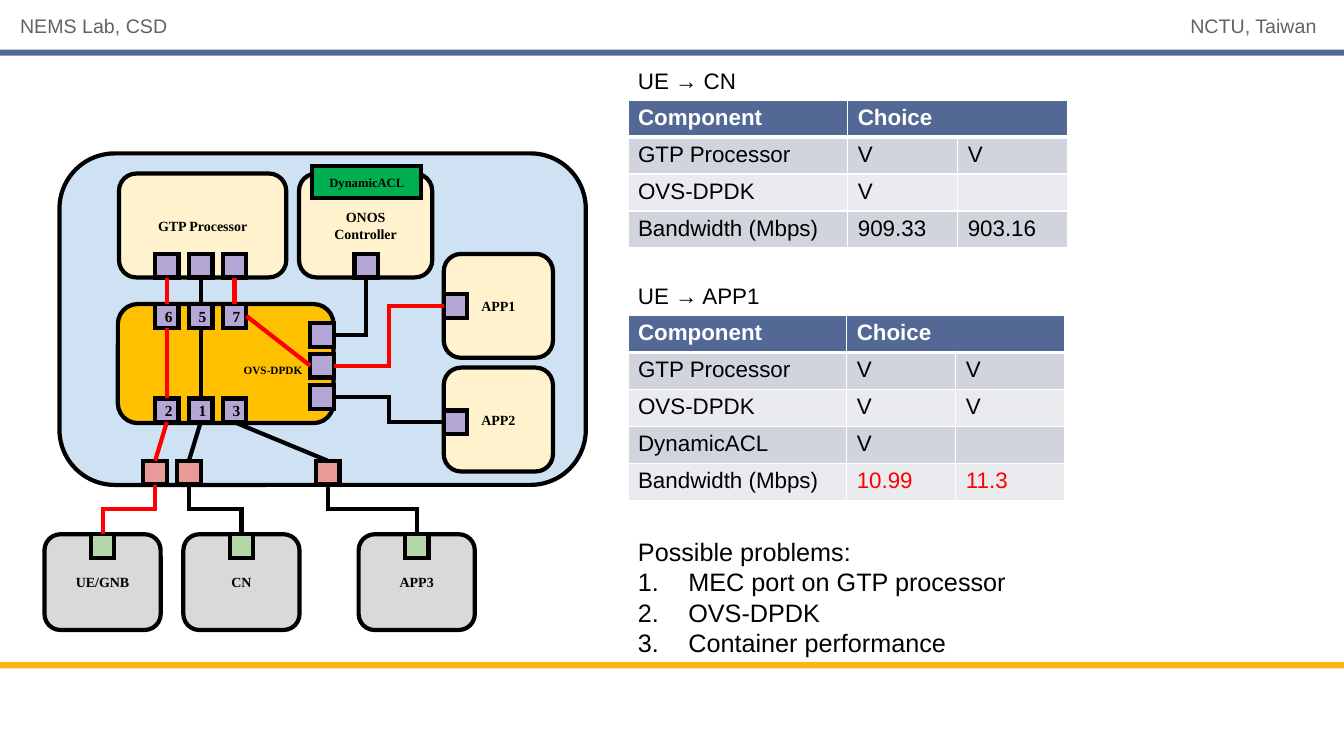
import lxml.etree
import pptx
import pptx.dml.color
import pptx.enum.shapes
import pptx.enum.text
import pptx.oxml.ns
import pptx.util

Pt = pptx.util.Pt
qn = pptx.oxml.ns.qn
ALIGN = pptx.enum.text.PP_ALIGN
RECT = pptx.enum.shapes.MSO_SHAPE.RECTANGLE
ROUNDED = pptx.enum.shapes.MSO_SHAPE.ROUNDED_RECTANGLE
CONNECTOR = pptx.enum.shapes.MSO_CONNECTOR

BLACK, WHITE, RED = "000000", "FFFFFF", "FF0000"
NAVY, GOLD, GRAY = "536895", "FFB612", "616365"
CREAM, PURPLE, PINK, GREEN, SILVER = "FFF2CC", "B4A7D6", "EA9999", "B6D7A8", "D9D9D9"
BANDS = ("E9EBEF", "D1D4DD")
PORT_W, PORT_H = 16.9, 17


def rgb(color):
    return pptx.dml.color.RGBColor.from_string(color)


def add_xml(parent, tag, **attributes):
    return lxml.etree.SubElement(parent, qn(tag), attributes)


class Board:
    body_font = "Arial"
    diagram_font = "Times New Roman"
    stroke = 3

    def __init__(self, slide):
        self.slide = slide

    def run(self, paragraph, text, size, color=BLACK, bold=False, font=None):
        run = paragraph.add_run()
        run.text = text
        run.font.size = Pt(size)
        run.font.bold = bold
        run.font.name = font or self.body_font
        run.font.color.rgb = rgb(color)

    def outline(self, item, color):
        item.line.color.rgb = rgb(color)
        item.line.width = Pt(self.stroke)
        add_xml(item.line._get_or_add_ln(), "a:miter", lim="800000")

    def bar(self, top, color):
        bar = self.slide.shapes.add_shape(RECT, 0, Pt(top), Pt(960), Pt(4.4))
        bar.shadow.inherit = False
        bar.fill.solid()
        bar.fill.fore_color.rgb = rgb(color)
        bar.line.fill.background()

    def box(self, left, top, width, height, fill, text="", size=10,
            kind=ROUNDED, align=ALIGN.CENTER):
        box = self.slide.shapes.add_shape(kind, Pt(left), Pt(top), Pt(width), Pt(height))
        box.shadow.inherit = False
        box.fill.solid()
        box.fill.fore_color.rgb = rgb(fill)
        self.outline(box, BLACK)
        if text:
            frame = box.text_frame
            frame.word_wrap = True
            frame.vertical_anchor = pptx.enum.text.MSO_ANCHOR.MIDDLE
            frame.paragraphs[0].alignment = align
            self.run(frame.paragraphs[0], text, size, bold=True, font=self.diagram_font)
        return box

    def port(self, left, top, fill=PURPLE, text=""):
        return self.box(left, top, PORT_W, PORT_H, fill, text, 11, RECT)

    def connector(self, kind, start, end, color):
        link = self.slide.shapes.add_connector(kind, *map(int, start + end))
        self.outline(link, color)
        add_xml(link._element.spPr, "a:effectLst")
        return link

    def straight(self, source, target, color=BLACK, sides=(2, 0)):
        link = self.connector(CONNECTOR.STRAIGHT, (0, 0), (0, 0), color)
        link.begin_connect(source, sides[0])
        link.end_connect(target, sides[1])

    def elbow_across(self, source, target, color=BLACK):
        start = (source.left + source.width, source.top + source.height / 2)
        end = (target.left, target.top + target.height / 2)
        self.connector(CONNECTOR.ELBOW, start, end, color)

    def elbow_corner(self, source, target, color=BLACK):
        start = (source.left + source.width, source.top + source.height / 2)
        end = (target.left + target.width / 2, target.top + target.height)
        link = self.connector(CONNECTOR.ELBOW, start, end, color)
        link._element.spPr.find(qn("a:prstGeom")).set("prst", "bentConnector2")

    def elbow_down(self, source, target, color=BLACK):
        x1, y1 = source.left + source.width / 2, source.top + source.height
        x2, y2 = target.left + target.width / 2, target.top
        middle_x, middle_y = (x1 + x2) / 2, (y1 + y2) / 2
        rightward = x2 > x1
        reach = (y2 - y1) / 2 * (1 if rightward else -1)
        rise = abs(x2 - x1) / 2
        link = self.connector(CONNECTOR.ELBOW, (middle_x + reach, middle_y - rise),
                              (middle_x - reach, middle_y + rise), color)
        rotation = 270 if rightward else 90
        link._element.spPr.find(qn("a:xfrm")).set("rot", str(rotation * 60000))

    def text(self, left, top, width, height, lines, size, color=BLACK,
             align=ALIGN.LEFT, numbered_from=None):
        frame = self.slide.shapes.add_textbox(
            Pt(left), Pt(top), Pt(width), Pt(height)).text_frame
        frame.word_wrap = True
        for index, line in enumerate(lines):
            paragraph = frame.add_paragraph() if index else frame.paragraphs[0]
            paragraph.alignment = align
            if numbered_from is not None and index >= numbered_from:
                properties = paragraph._p.get_or_add_pPr()
                properties.set("marL", str(Pt(36)))
                properties.set("indent", str(-Pt(36)))
                add_xml(properties, "a:buAutoNum", type="arabicPeriod")
            self.run(paragraph, line, size, color)

    def border(self, cell, side, width):
        line = add_xml(cell._tc.get_or_add_tcPr(), "a:ln" + side, w=str(Pt(width)))
        add_xml(add_xml(line, "a:solidFill"), "a:srgbClr", val=WHITE)

    def table(self, left, top, widths, row_height, rows, result_color=BLACK):
        table = self.slide.shapes.add_table(
            len(rows), len(widths), Pt(left), Pt(top),
            Pt(sum(widths)), Pt(row_height * len(rows))).table
        for column, width in zip(table.columns, widths):
            column.width = Pt(width)
        for r, values in enumerate(rows):
            table.rows[r].height = Pt(row_height)
            for c, value in enumerate(values):
                cell = table.cell(r, c)
                for side in "LRTB":
                    header_edge = (r, side) in ((0, "B"), (1, "T"))
                    self.border(cell, side, 3 if header_edge else 1)
                cell.fill.solid()
                cell.fill.fore_color.rgb = rgb(BANDS[r % 2] if r else NAVY)
                paragraph = cell.text_frame.paragraphs[0]
                if value:
                    is_result = r == len(rows) - 1 and c > 0
                    color = result_color if is_result else BLACK if r else WHITE
                    self.run(paragraph, value, 16, color, bold=r == 0)
                else:
                    add_xml(paragraph._p, "a:endParaRPr", sz="1600")
        table.cell(0, 1).merge(table.cell(0, 2))


def draw_diagram(board):
    hosts = {}
    for name, left in (("UE/GNB", 31.8), ("CN", 131), ("APP3", 256.2)):
        board.box(left, 381.6, 83, 68.4, SILVER, name)
        hosts[name] = board.port(left + (83 - PORT_W) / 2, 381.6, GREEN)

    board.box(42.5, 109.6, 376, 236.8, "CFE2F3")
    switch = board.box(84.2, 217.2, 154, 85, "FFC000", "OVS-DPDK", 8, align=ALIGN.RIGHT)
    switch.text_frame.margin_right = Pt(18)
    switch.text_frame.margin_top = Pt(12.5)
    board.box(85, 124, 119.5, 74.2, CREAM, "GTP Processor")
    board.box(213.6, 124, 95.2, 74.2, CREAM, "ONOS Controller")
    controller_port = board.port(253.2, 181.3)
    board.box(223, 118.6, 78, 23, "00B050", "DynamicACL", 9, RECT)
    apps = []
    for name, top, port_top in (("APP1", 181.4, 210.2), ("APP2", 262.6, 293.2)):
        board.box(317, top, 78, 74.2, CREAM, name)
        apps.append(board.port(317, port_top))

    columns = [110.7 + 24.2 * i for i in range(3)]
    processor_ports = [board.port(x, 181.3) for x in columns]
    upper_ports = [board.port(x, 217.2, text=n) for x, n in zip(columns, "657")]
    lower_ports = [board.port(x, 284.6, text=n) for x, n in zip(columns, "213")]
    side_ports = [board.port(221.6, y) for y in (231, 252.7, 275.2)]
    edge_ports = [board.port(x, 329.1, PINK) for x in (102.4, 126.5, 225.6)]

    for source, target, color in zip(processor_ports, upper_ports, (RED, BLACK, RED)):
        board.straight(source, target, color)
    for source, target, color in zip(upper_ports[:2], lower_ports, (RED, BLACK)):
        board.straight(source, target, color)
    for source, target, host, color in zip(
            lower_ports, edge_ports, hosts.values(), (RED, BLACK, BLACK)):
        board.straight(source, target, color)
        board.elbow_down(target, host, color)
    board.straight(upper_ports[2], side_ports[1], RED, sides=(3, 1))
    board.elbow_corner(side_ports[0], controller_port)
    board.elbow_across(side_ports[1], apps[0], RED)
    board.elbow_across(side_ports[2], apps[1])


def main():
    deck = pptx.Presentation()
    deck.slide_width, deck.slide_height = Pt(960), Pt(540)
    board = Board(deck.slides.add_slide(deck.slide_layouts[6]))
    board.bar(473, GOLD)
    board.bar(35.4, NAVY)
    board.text(7.2, 6.5, 420, 26, ["NEMS Lab, CSD"], 14, GRAY)
    board.text(738.8, 6.5, 208.8, 26, ["NCTU, Taiwan"], 14, GRAY, ALIGN.RIGHT)
    draw_diagram(board)

    board.text(448.6, 44.6, 110, 26.6, ["UE → CN"], 16)
    board.table(448.6, 71.4, (157, 78.5, 78.5), 25, (
        ("Component", "Choice", ""),
        ("GTP Processor", "V", "V"),
        ("OVS-DPDK", "V", ""),
        ("Bandwidth (Mbps)", "909.33", "903.16")))
    board.text(448.6, 198, 120, 26.6, ["UE → APP1"], 16)
    board.table(448.6, 225.4, (156.2, 78, 78), 26.3, (
        ("Component", "Choice", ""),
        ("GTP Processor", "V", "V"),
        ("OVS-DPDK", "V", "V"),
        ("DynamicACL", "V", ""),
        ("Bandwidth (Mbps)", "10.99", "11.3")), RED)
    board.text(448.6, 379.6, 300, 94, [
        "Possible problems:", "MEC port on GTP processor",
        "OVS-DPDK", "Container performance"], 18, numbered_from=1)
    deck.save("out.pptx")


if __name__ == "__main__":
    main()
